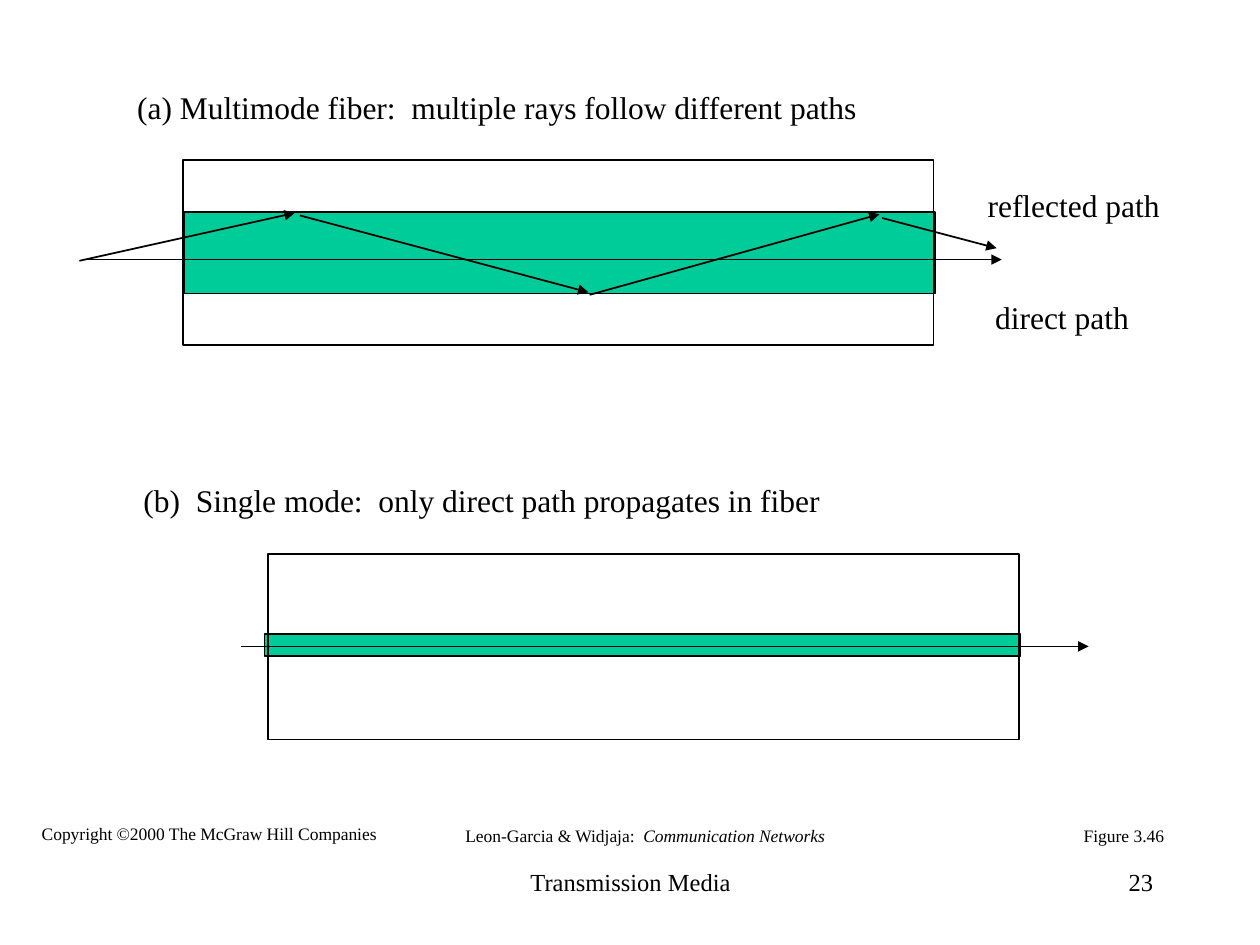
"""Builds the slide that compares rays in multimode and single mode fiber."""
from dataclasses import dataclass
from itertools import starmap

from lxml.etree import SubElement
from pptx import Presentation
from pptx.dml.color import RGBColor
from pptx.enum.shapes import MSO_CONNECTOR as Connector, MSO_SHAPE as Preset
from pptx.enum.text import MSO_ANCHOR as Anchor, MSO_AUTO_SIZE as AutoSize, PP_ALIGN as Align
from pptx.oxml.ns import qn
from pptx.util import Inches, Pt


@dataclass(frozen=True)
class Theme:
    font: str = "Times New Roman"
    ink: RGBColor = RGBColor(0, 0, 0)
    core: RGBColor = RGBColor(0, 204, 153)
    label: int = 18
    footer: int = 14
    credit: int = 10
    stroke: int = 1


def write(frame, *runs, theme, size, align=Align.LEFT, anchor=Anchor.TOP, wrap=False):
    frame.word_wrap = wrap
    frame.auto_size = AutoSize.NONE if wrap else AutoSize.SHAPE_TO_FIT_TEXT
    frame.vertical_anchor = anchor
    paragraph = frame.paragraphs[0]
    paragraph.alignment = align
    for text, italic in runs:
        run = paragraph.add_run()
        run.text = text
        run.font.name, run.font.size, run.font.italic = theme.font, Pt(size), italic
        run.font.color.rgb = theme.ink


class FiberSlide:
    COLUMNS, ROWS = 100, 75

    def __init__(self, presentation, theme):
        self.theme = theme
        self.shapes = presentation.slides.add_slide(presentation.slide_layouts[6]).shapes
        self.column = presentation.slide_width / self.COLUMNS
        self.row = presentation.slide_height / self.ROWS

    def place(self, *cells):
        return [round(cell * (self.row if index % 2 else self.column))
                for index, cell in enumerate(cells)]

    def text(self, cells, *runs, **style):
        box = self.shapes.add_textbox(*self.place(*cells))
        write(box.text_frame, *runs, theme=self.theme, **style)

    def label(self, left, top, width, text):
        self.text((left, top, width, 4), (text, False), size=self.theme.label)

    def credit(self, left, top, width, *runs):
        self.text((left, top, width, 2.7), *runs, size=self.theme.credit,
                  align=Align.CENTER, anchor=Anchor.MIDDLE)

    def footer(self, left, width, text, align):
        self.text((left, 68.3, width, 5), (text, False), size=self.theme.footer,
                  align=align, wrap=True)

    def layer(self, *cells, fill=None):
        shape = self.shapes.add_shape(Preset.RECTANGLE, *self.place(*cells))
        shape.shadow.inherit = False
        if fill is None:
            shape.fill.background()
        else:
            shape.fill.solid()
            shape.fill.fore_color.rgb = fill
        self.stroke(shape.line)

    def ray(self, *cells):
        arrow = self.shapes.add_connector(Connector.STRAIGHT, *self.place(*cells))
        self.stroke(arrow.line)
        SubElement(arrow.line._get_or_add_ln(), qn("a:tailEnd"), type="triangle")
        SubElement(arrow._element.spPr, qn("a:effectLst"))

    def stroke(self, line):
        line.color.rgb = self.theme.ink
        line.width = Pt(self.theme.stroke)

    def fiber(self, core, cladding):
        self.layer(*core, fill=self.theme.core)
        self.layer(*cladding)


def main():
    presentation = Presentation()
    presentation.slide_width, presentation.slide_height = Inches(10), Inches(7.5)
    theme = Theme()
    slide = FiberSlide(presentation, theme)

    slide.label(9.9, 6.5, 59.2, "(a) Multimode fiber:  multiple rays follow different paths")
    slide.fiber(core=(14.6, 16.8, 59.6, 6.5), cladding=(14.5, 12.7, 59.6, 14.7))
    reflected = [(6.3, 20.7, 23.4, 16.9), (23.8, 17.1, 46.7, 23.2),
                 (46.8, 23.4, 69.8, 17), (70, 17.3, 79.1, 19.7)]
    direct = (6.8, 20.6, 79.5, 20.6)
    list(starmap(slide.ray, [*reflected, direct]))
    slide.label(77.4, 14.3, 15.7, "reflected path")
    slide.label(78, 23.2, 12.6, "direct path")

    slide.label(10.4, 37.7, 56.3, "(b)  Single mode:  only direct path propagates in fiber")
    slide.fiber(core=(21, 50.3, 60, 1.75), cladding=(21.3, 44, 59.6, 14.7))
    slide.ray(19.1, 51.3, 86.4, 51.3)

    slide.credit(2.3, 64.8, 28.6, ("Copyright ©2000 The McGraw Hill Companies", False))
    slide.credit(35.9, 65, 30.6, ("Leon-Garcia & Widjaja:  ", False),
                 ("Communication Networks", True))
    slide.credit(85, 65, 8.4, ("Figure 3.46", False))
    slide.footer(34.2, 31.7, "Transmission Media", Align.CENTER)
    slide.footer(71.7, 20.8, "23", Align.RIGHT)

    presentation.save("out.pptx")


if __name__ == "__main__":
    main()
